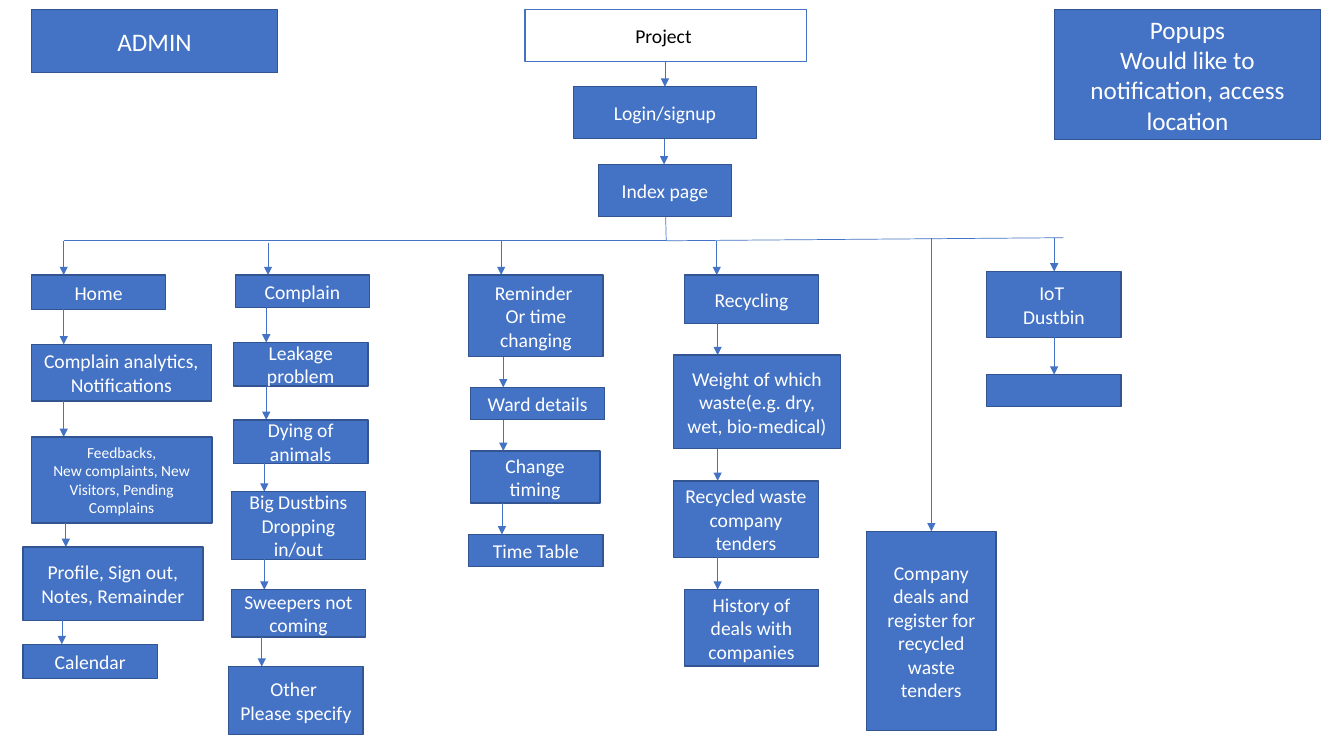
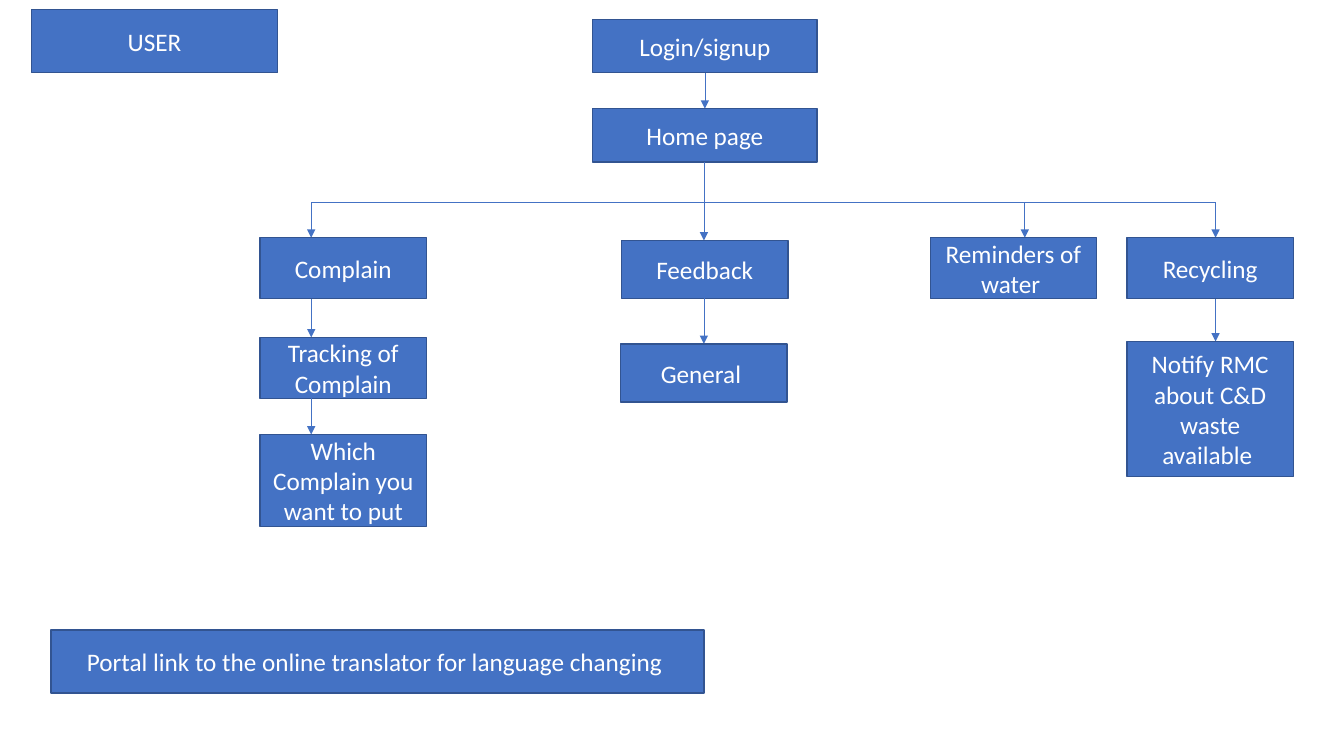
from lxml import etree
from pptx import Presentation
from pptx.dml.color import RGBColor
from pptx.enum import shapes, text
from pptx.oxml import ns
from pptx.util import Pt

BLUE = RGBColor(0x44, 0x72, 0xC4)
NAVY = RGBColor(0x32, 0x54, 0x91)
WHITE = RGBColor(0xFF, 0xFF, 0xFF)
BLACK = RGBColor(0, 0, 0)
FONT = "Calibri"
ROLE_BOX = (22.4, 7, 176, 45)

# Each step: text, left, top, width, height, x of the arrow that enters it, font size if special.
# Each branch: y where its first arrow starts, then its steps from top to bottom.
ADMIN = {
    "size": 14,
    "notes": [
        ("ADMIN", *ROLE_BOX),
        ("Popups\nWould like to notification, access location", 753.2, 7, 190, 92.5),
    ],
    "root": ("Project ", 375, 7, 201, 37),
    "trunk": [
        ("Login/signup", 409.5, 62, 131, 37.2, 475),
        ("Index page", 427.5, 117.5, 95, 37.2, 474.3),
    ],
    "bus": [(475.5, 154.7, 475.9, 172), (475.9, 172, 45.5, 172), (475.9, 172, 759.5, 169.8)],
    "branches": [
        (172, [
            ("Home", 22.4, 196.5, 96, 24.5, 45.5),
            ("Complain analytics,\nNotifications", 22.4, 246, 128.5, 40.5, 45.5),
            ("Feedbacks,\nNew complaints, New Visitors, Pending Complains",
             22.4, 312.2, 129, 61.3, 45.5, 11),
            ("Profile, Sign out, Notes, Remainder", 16.4, 390.7, 128.5, 52.5, 47),
            ("Calendar", 16.4, 460.2, 96, 24.5, 44.2),
        ]),
        (173.3, [
            ("Complain", 168, 196.5, 96, 23, 191.5),
            ("Leakage problem", 166.8, 244.7, 96, 31, 190.2),
            ("Dying of animals", 166.8, 300, 96, 31, 190.2),
            ("Big Dustbins Dropping in/out", 165.2, 351.3, 96, 48.3, 188.8),
            ("Sweepers not coming", 165.2, 421.2, 96, 33.8, 188.8),
            ("Other \nPlease specify", 163.4, 476.2, 96, 48.3, 187),
        ]),
        (172, [
            ("Reminder \nOr time changing", 334.8, 196.5, 96, 58.2, 358),
            ("Ward details", 336, 276.7, 96, 23, 359.5),
            ("Change timing", 336, 322.2, 92.5, 37, 359.5),
            ("Time Table", 334.8, 381.8, 96, 23, 358.5),
        ]),
        (172, [
            ("Recycling", 488.8, 196.5, 96, 34.5, 512),
            ("Weight of which waste(e.g. dry, wet, bio-medical)", 481, 253.7, 119.5, 66.7, 512.6),
            ("Recycled waste company tenders", 481, 343.5, 103.7, 54.7, 512.6),
            ("History of deals with companies", 488.8, 421.2, 96, 54.7, 512.6),
        ]),
        (170, [("Company deals and register for recycled waste tenders",
                619, 379.6, 92.5, 142.4, 665.3)]),
        (170, [
            ("IoT \nDustbin", 704.8, 194, 96, 47, 753),
            ("", 704.8, 267.6, 96, 23, 753),
        ]),
    ],
}
USER = {
    "size": 18,
    "notes": [
        ("USER", *ROLE_BOX),
        ("Portal link to the online translator for language changing ", 36.4, 450, 466.5, 45),
    ],
    "root": ("Login/signup", 423.4, 14, 160.2, 38),
    "trunk": [("Home page", 423.4, 77.6, 160.2, 38, 503.5)],
    "bus": [(503.3, 115.6, 503.3, 144.5), (222.3, 144.5, 868.3, 144.5)],
    "branches": [
        (144.5, [
            ("Complain", 185.8, 169.8, 118.8, 43.5, 222.3),
            ("Tracking of Complain", 185.8, 241, 118.8, 43.5, 222.3),
            ("Which Complain you want to put", 185.8, 310.4, 118.8, 65.5, 222.3),
        ]),
        (144.5, [
            ("Feedback", 444, 171.8, 118.8, 41.4, 502.8),
            ("General ", 443.3, 245.7, 118.8, 41.4, 502.8),
        ]),
        (144.5, [("Reminders of water ", 664.5, 169.8, 118.8, 43.5, 732)]),
        (144.5, [
            ("Recycling", 805, 169.8, 118.8, 43.5, 868.3),
            ("Notify RMC about C&D waste available ", 805, 244, 118.8, 96.5, 868.3),
        ]),
    ],
}


def add_box(slide, wording, left, top, width, height, *, size, fill=BLUE, edge=NAVY, color=WHITE):
    """Draw a rectangle with centred text; each line of wording is a paragraph."""
    box = slide.shapes.add_shape(shapes.MSO_SHAPE.RECTANGLE,
                                 Pt(left), Pt(top), Pt(width), Pt(height))
    box.shadow.inherit = False
    box.fill.solid()
    box.fill.fore_color.rgb = fill
    box.line.color.rgb = edge
    box.line.width = Pt(1)
    frame = box.text_frame
    frame.word_wrap = True
    frame.vertical_anchor = text.MSO_ANCHOR.MIDDLE
    frame.text = wording
    for paragraph in frame.paragraphs:
        paragraph.alignment = text.PP_ALIGN.CENTER
        font = paragraph.font
        font.name, font.size, font.color.rgb = FONT, Pt(size), color


def add_line(slide, x1, y1, x2, y2, arrow=False):
    """Draw a thin connector, with an arrowhead at its end if asked."""
    line = slide.shapes.add_connector(shapes.MSO_CONNECTOR.STRAIGHT,
                                      Pt(x1), Pt(y1), Pt(x2), Pt(y2))
    line.line.color.rgb = BLUE
    line.line.width = Pt(0.5)
    if arrow:
        etree.SubElement(line.line._get_or_add_ln(), ns.qn("a:tailEnd"), type="triangle")
    etree.SubElement(line._element.spPr, ns.qn("a:effectLst"))


def add_steps(slide, start, steps, size):
    """Draw a chain of boxes, each entered by an arrow from the one above."""
    for wording, left, top, width, height, arrow_x, *special in steps:
        add_line(slide, arrow_x, start, arrow_x, top, arrow=True)
        add_box(slide, wording, left, top, width, height, size=special[0] if special else size)
        start = top + height


def add_flow(deck, flow, **root_format):
    """Build one slide: notes, trunk, bus and branches."""
    slide = deck.slides.add_slide(deck.slide_layouts[6])
    for note in flow["notes"]:
        add_box(slide, *note, size=18)
    root = flow["root"]
    add_box(slide, *root, size=flow["size"], **root_format)
    add_steps(slide, root[2] + root[4], flow["trunk"], flow["size"])
    for segment in flow["bus"]:
        add_line(slide, *segment)
    for start, steps in flow["branches"]:
        add_steps(slide, start, steps, flow["size"])


deck = Presentation()
deck.slide_width, deck.slide_height = Pt(960), Pt(540)
add_flow(deck, ADMIN, fill=WHITE, edge=BLUE, color=BLACK)
add_flow(deck, USER)
deck.save("out.pptx")
